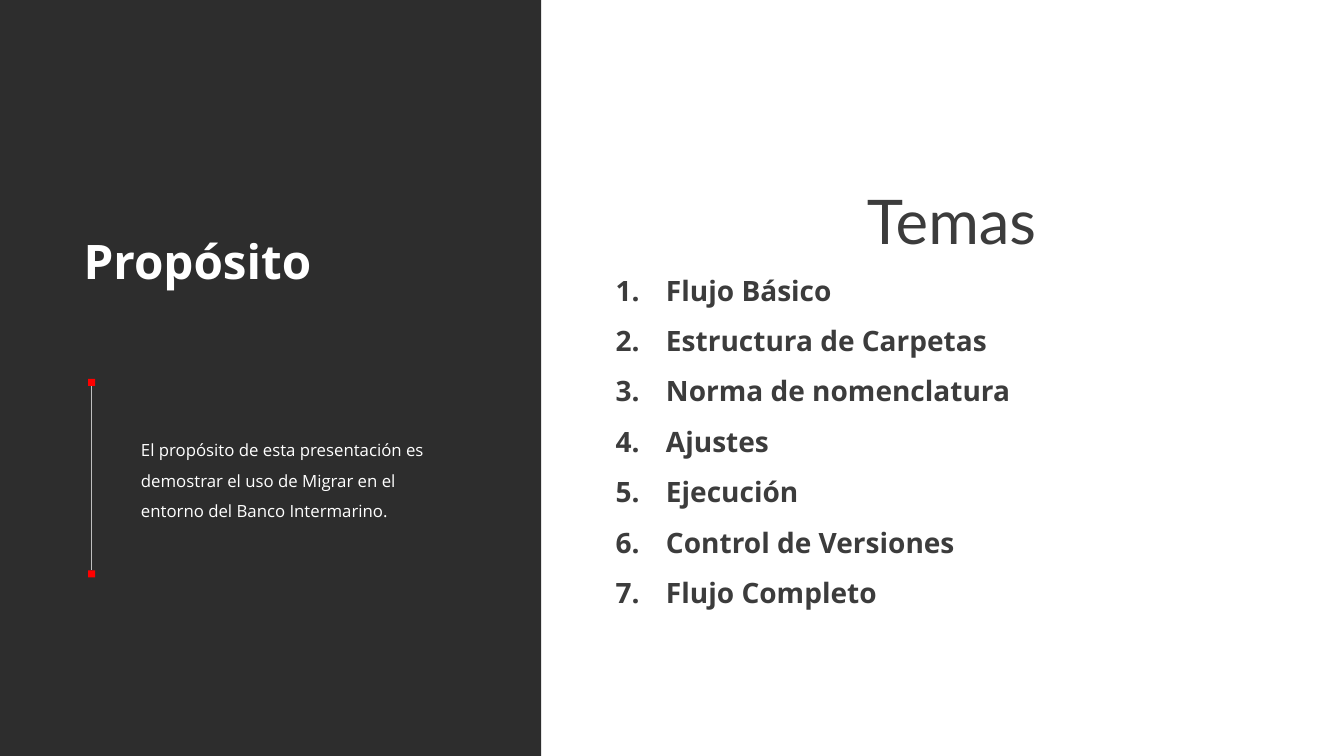
from lxml.etree import SubElement
from pptx import Presentation
from pptx.dml.color import RGBColor
from pptx.enum.shapes import MSO_CONNECTOR, MSO_SHAPE
from pptx.enum.text import MSO_ANCHOR, MSO_AUTO_SIZE, PP_ALIGN
from pptx.oxml.ns import qn
from pptx.util import Pt

WHITE = RGBColor(0xFF, 0xFF, 0xFF)
DARK = RGBColor(0x2D, 0x2D, 0x2D)
TEXT = RGBColor(0x3C, 0x3C, 0x3C)
RED = RGBColor(0xFF, 0x00, 0x00)
GREY = RGBColor(0xBF, 0xBF, 0xBF)

PURPOSE = ("El propósito de esta presentación es demostrar el uso de Migrar "
           "en el entorno del Banco Intermarino.")
TOPICS = ["Flujo Básico", "Estructura de Carpetas", "Norma de nomenclatura",
          "Ajustes", "Ejecución", "Control de Versiones", "Flujo Completo"]


def place(shape, left, top, width, height):
    shape.left, shape.top = Pt(left), Pt(top)
    shape.width, shape.height = Pt(width), Pt(height)


def set_frame(tf):
    tf.word_wrap = True
    tf.auto_size = MSO_AUTO_SIZE.NONE
    tf.vertical_anchor = MSO_ANCHOR.MIDDLE


def write(p, text, size, color, font="Open Sans", bold=False,
          align=PP_ALIGN.LEFT, spacing=1.0):
    p.text = text
    p.alignment = align
    p.line_spacing = spacing
    p.space_before = Pt(0)
    f = p.runs[0].font
    f.name, f.size, f.bold = font, Pt(size), bold
    f.color.rgb = color


def set_list_mark(p, numbered):
    """Number the paragraph with a hanging indent, or clear its bullet."""
    indent = Pt(36) if numbered else 0
    pPr = p._p.get_or_add_pPr()
    pPr.set("marL", str(indent))
    pPr.set("indent", str(-indent))
    if numbered:
        SubElement(pPr, qn("a:buFont"), typeface="+mj-lt")
        SubElement(pPr, qn("a:buAutoNum"), type="arabicPeriod")
    else:
        SubElement(pPr, qn("a:buNone"))


def add_rect(s, left, top, width, height, color):
    rect = s.shapes.add_shape(MSO_SHAPE.RECTANGLE, Pt(left), Pt(top),
                              Pt(width), Pt(height))
    rect.shadow.inherit = False
    rect.fill.solid()
    rect.fill.fore_color.rgb = color
    rect.line.fill.background()
    return rect


def add_joining_line(s, upper, lower):
    line = s.shapes.add_connector(MSO_CONNECTOR.STRAIGHT, 0, 0, 0, 0)
    line.begin_connect(upper, 2)
    line.end_connect(lower, 0)
    line.line.color.rgb = GREY
    line.line.width = Pt(1)
    SubElement(line.element.spPr, qn("a:effectLst"))


def add_purpose(s):
    box = s.shapes.add_textbox(Pt(93.6), Pt(303), Pt(234), Pt(73))
    set_frame(box.text_frame)
    write(box.text_frame.paragraphs[0], PURPOSE, 12, WHITE, spacing=1.5)


def fill_title(title):
    place(title, 52.5, 129, 319, 113.75)
    set_frame(title.text_frame)
    write(title.text_frame.paragraphs[0], "Propósito", 34, WHITE, bold=True)


def fill_topics(body):
    place(body, 432.5, 98.5, 494.5, 342)
    tf = body.text_frame
    set_frame(tf)
    p = tf.paragraphs[0]
    write(p, "Temas", 44, TEXT, "Lato", align=PP_ALIGN.CENTER, spacing=1.5)
    set_list_mark(p, False)
    for topic in TOPICS:
        p = tf.add_paragraph()
        write(p, topic, 20, TEXT, bold=True, spacing=1.5)
        set_list_mark(p, True)


def main():
    prs = Presentation()
    prs.slide_width, prs.slide_height = Pt(960), Pt(540)
    s = prs.slides.add_slide(prs.slide_layouts[1])
    title, body = s.placeholders

    panel = add_rect(s, 0, -1.5, 386.5, 541.5, DARK)
    title.element.addprevious(panel.element)
    fill_title(title)
    add_purpose(s)
    upper, lower = [add_rect(s, 63, top, 5, 5, RED) for top in (270.75, 407.5)]
    add_joining_line(s, upper, lower)
    fill_topics(body)
    prs.save("out.pptx")


if __name__ == "__main__":
    main()
